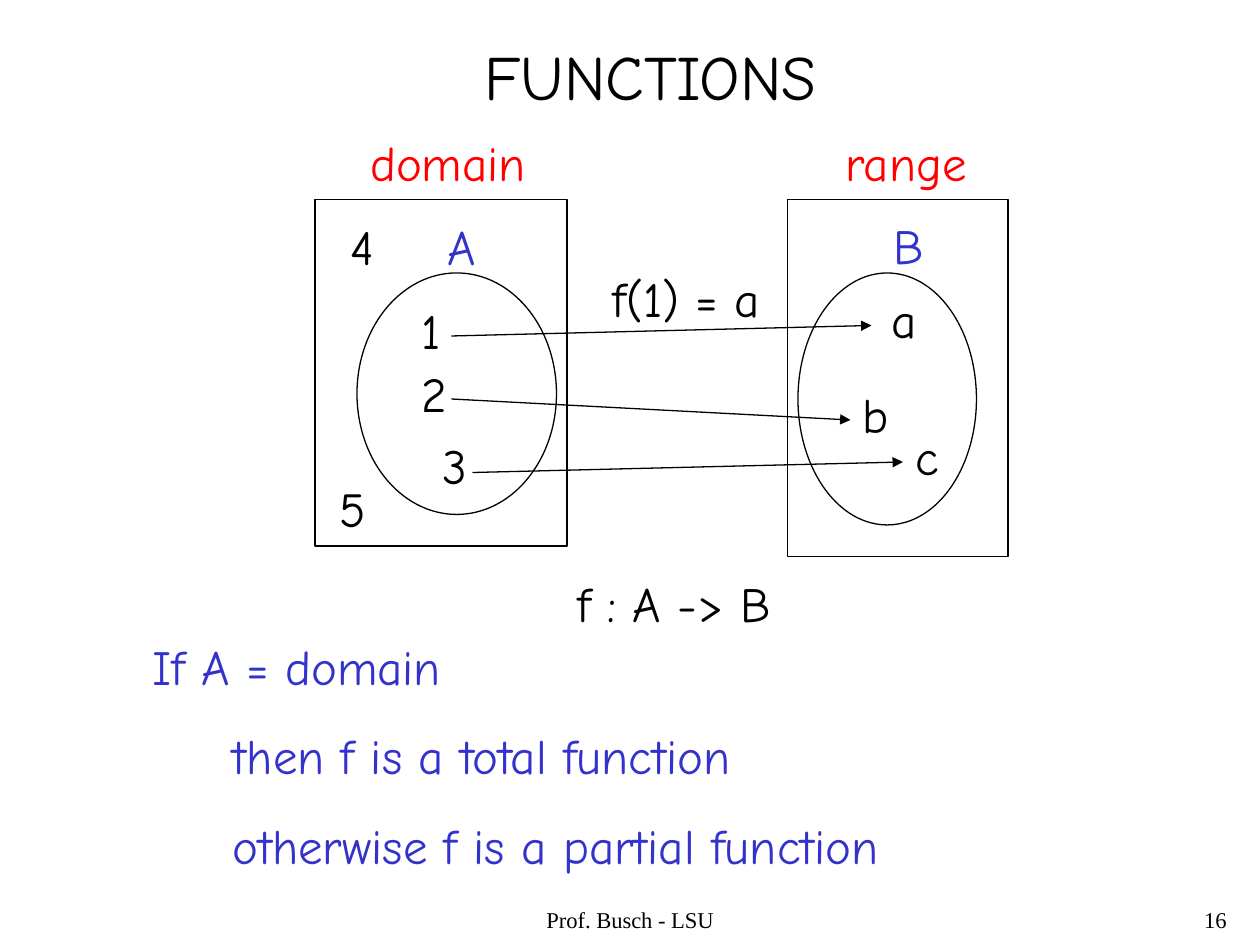
from lxml.etree import SubElement
from pptx import Presentation
from pptx.dml.color import RGBColor
from pptx.enum.shapes import MSO_CONNECTOR, MSO_SHAPE
from pptx.enum.text import MSO_ANCHOR, MSO_AUTO_SIZE, PP_ALIGN
from pptx.oxml.ns import qn
from pptx.util import Pt

COLORS = {"ink": "000000", "heading": "FF0000", "set": "3333CC"}
BODY_FONT = "Comic Neue"
FOOTER_FONT = "Times New Roman"
LABEL_SIZE = 28
LABEL_HEIGHT = 41
LINE_WIDTH = 0.75


class SlideBuilder:
    def __init__(self, slide):
        self.slide = slide

    def color(self, name):
        return RGBColor.from_string(COLORS[name])

    def place(self, shape, left, top, width, height):
        shape.left, shape.top = Pt(left), Pt(top)
        shape.width, shape.height = Pt(width), Pt(height)

    def set_text(self, shape, lines, size=LABEL_SIZE, color="ink", font=BODY_FONT,
                 align=PP_ALIGN.LEFT, wrap=False):
        frame = shape.text_frame
        frame.text = "\n".join(lines)
        frame.word_wrap = wrap
        frame.auto_size = MSO_AUTO_SIZE.NONE
        frame.vertical_anchor = MSO_ANCHOR.TOP
        for paragraph in frame.paragraphs:
            paragraph.alignment = align
            paragraph.font.name = font
            paragraph.font.size = Pt(size)
            paragraph.font.color.rgb = self.color(color)
        return frame.paragraphs

    def title(self, text, left, top, width, height):
        shape = self.slide.shapes.title
        self.place(shape, left, top, width, height)
        self.set_text(shape, [text], size=36)

    def text_box(self, lines, left, top, width, height, **style):
        shape = self.slide.shapes.add_textbox(Pt(left), Pt(top), Pt(width), Pt(height))
        return self.set_text(shape, lines, **style)

    def label(self, text, left, top, width, color="ink"):
        self.text_box([text], left, top, width, LABEL_HEIGHT, color=color)

    def footer(self, text, left, width, align):
        paragraph, = self.text_box([text], left, 516, width, 24, size=12.9,
                                   font=FOOTER_FONT, align=align, wrap=True)
        paragraph.line_spacing = 0.9

    def conclusion(self, lines, left, top, width, height):
        """Add a condition with its indented consequences."""
        paragraphs = self.text_box(lines, left, top, width, height, color="set", wrap=True)
        for paragraph in paragraphs[1:]:
            paragraph.space_before = Pt(17.5)
            paragraph._p.get_or_add_pPr().set("marL", str(Pt(46)))

    def outline(self, kind, left, top, width, height):
        shape = self.slide.shapes.add_shape(kind, Pt(left), Pt(top), Pt(width), Pt(height))
        shape.shadow.inherit = False
        shape.fill.background()
        shape.line.color.rgb = self.color("ink")
        shape.line.width = Pt(LINE_WIDTH)

    def arrow(self, *ends):
        connector = self.slide.shapes.add_connector(
            MSO_CONNECTOR.STRAIGHT, *[Pt(value) for value in ends])
        connector.line.color.rgb = self.color("ink")
        connector.line.width = Pt(LINE_WIDTH)
        SubElement(connector.line._get_or_add_ln(), qn("a:tailEnd"), type="triangle")
        SubElement(connector._element.spPr, qn("a:effectLst"))


def main():
    presentation = Presentation()
    presentation.slide_width, presentation.slide_height = Pt(720), Pt(540)
    slide = presentation.slides.add_slide(presentation.slide_layouts[5])
    builder = SlideBuilder(slide)

    builder.title("FUNCTIONS", 269.5, 18, 205, 50.5)
    builder.footer("Prof. Busch - LSU", 246, 228, PP_ALIGN.CENTER)
    builder.footer("16", 558, 150, PP_ALIGN.RIGHT)

    # Domain and range boxes, each around its set
    builder.outline(MSO_SHAPE.RECTANGLE, 180, 114, 144, 198)
    builder.outline(MSO_SHAPE.RECTANGLE, 450, 114, 126, 204)
    builder.outline(MSO_SHAPE.OVAL, 204, 156, 114, 138)
    builder.outline(MSO_SHAPE.OVAL, 456, 156, 102, 144)

    mappings = [
        (258, 192, 498, 186),
        (258, 228, 486, 240),
        (270, 270, 516, 264),
    ]
    for mapping in mappings:
        builder.arrow(*mapping)

    labels = [
        ("domain", 204.5, 72, 103, "heading"),
        ("range", 476, 72, 84, "heading"),
        ("A", 248.5, 120, 30, "set"),
        ("B", 503.5, 119.5, 31.5, "set"),
        ("1", 234, 168, 25),
        ("2", 234, 204, 29),
        ("3", 246, 245.5, 28),
        ("4", 193.5, 120, 28),
        ("5", 187, 270, 29.5),
        ("a", 502.5, 162, 29),
        ("b", 486, 216, 29.5),
        ("c", 516, 240, 27.5),
        ("f(1) = a", 343, 150, 99),
        ("f : A -> B", 323, 324, 134),
    ]
    for label in labels:
        builder.label(*label)

    builder.conclusion(
        ["If A = domain", "then f is a total function", "otherwise f is a partial function"],
        80, 360, 440, 143)

    presentation.save("out.pptx")


if __name__ == "__main__":
    main()
